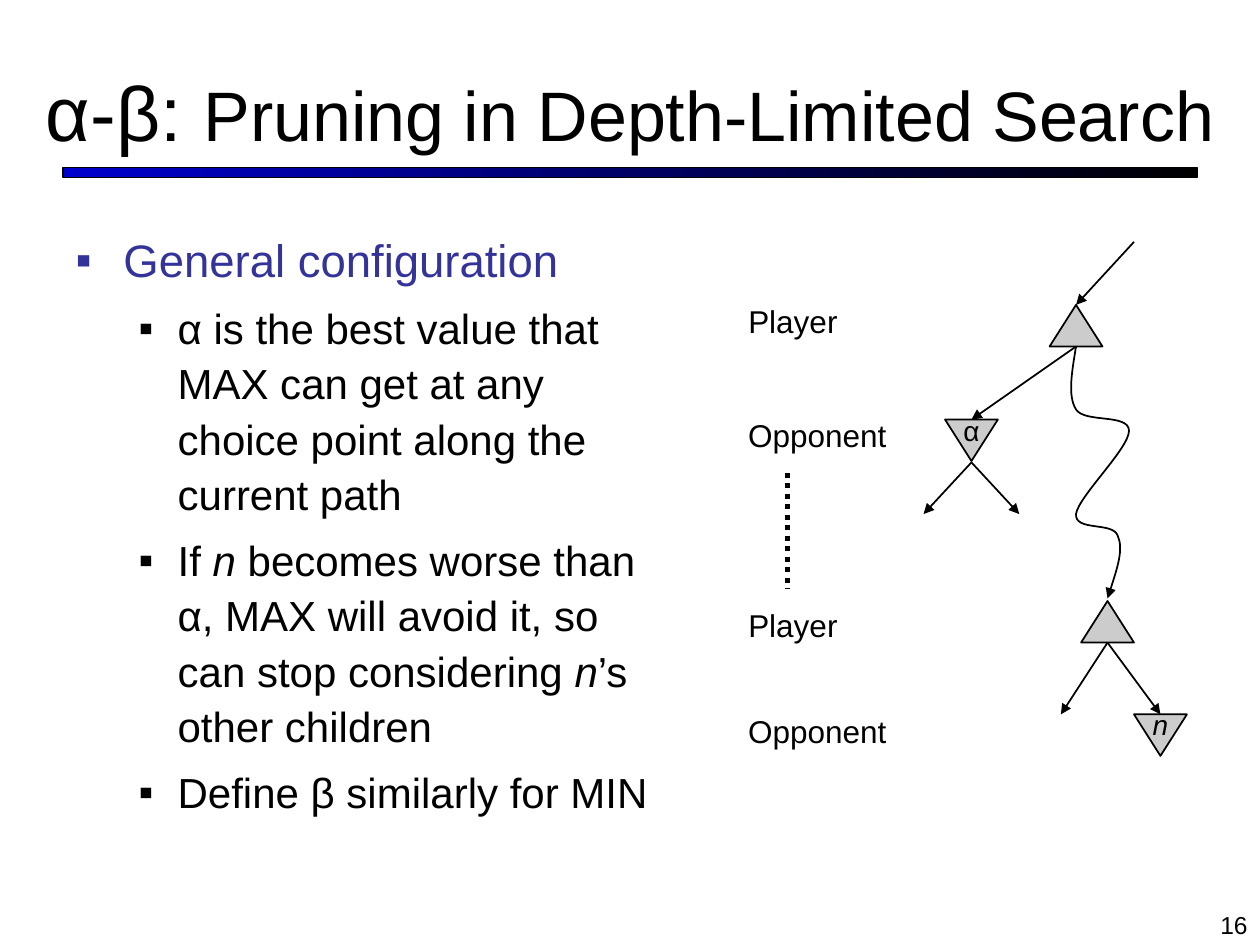
"""Builds a slide on alpha-beta pruning in depth-limited search."""
from dataclasses import dataclass
from typing import NamedTuple

from lxml import etree
from pptx import Presentation
from pptx.dml.color import RGBColor
from pptx.enum import dml, shapes, text
from pptx.oxml import ns
from pptx.util import Inches, Pt


@dataclass(frozen=True)
class Theme:
    """Colours, font and type sizes of the slide."""
    font: str = "Arial"
    ink: str = "000000"
    accent: str = "333399"
    node: str = "CCCCCC"
    rule: str = "0000CC"
    symbol: int = 44
    title: int = 40
    heading: int = 26
    body: int = 24
    label: int = 18
    node_text: int = 16
    number: int = 14


class Run(NamedTuple):
    """A piece of text with one format."""
    text: str
    size: int
    color: str
    italic: bool = False


class Bullet(NamedTuple):
    """A list paragraph with its level and spacing."""
    runs: list
    level: int
    margin: float
    hang: float
    before: float


class Label(NamedTuple):
    """The name of whoever moves at one depth of the tree."""
    text: str
    top: float
    width: float


class Node(NamedTuple):
    """A triangle whose flat or pointed top is centred at x."""
    x: float
    top: float
    is_min: bool = False
    text: str = ""
    italic: bool = False


class Edge(NamedTuple):
    """A straight line between two points."""
    x1: float
    y1: float
    x2: float
    y2: float
    width: float = 1
    dotted: bool = False


T = Theme()
NODE_W, NODE_H = 0.42, 0.33


def body_run(words: str, italic: bool = False) -> Run:
    """Return a run of second-level list text."""
    return Run(words, T.body, T.ink, italic)


BULLETS = [Bullet([Run("General configuration", T.heading, T.accent)], 0, 0.38, 0.38, 6.5)] + [
    Bullet(runs, 1, 0.81, 0.31, 6) for runs in (
        [body_run("α is the best value that MAX can get at any choice point along the current path")],
        [body_run("If "), body_run("n", True),
         body_run(" becomes worse than α, MAX will avoid it, so can stop considering "),
         body_run("n", True), body_run("’s other children")],
        [body_run("Define β similarly for MIN")])]
LABELS = [Label("Player", 2.35, 0.91), Label("Opponent", 3.25, 1.3),
          Label("Player", 4.76, 0.91), Label("Opponent", 5.6, 1.3)]
NODES = [Node(8.54, 2.42), Node(7.71, 3.33, True, "α"),
         Node(8.79, 4.77), Node(9.21, 5.67, True, "n", True)]
EDGES = [Edge(9, 1.92, 8.54, 2.42), Edge(8.54, 2.75, 7.71, 3.33),
         Edge(7.71, 3.67, 7.33, 4.08), Edge(7.71, 3.67, 8.09, 4.08),
         Edge(8.79, 5.1, 8.42, 5.67), Edge(8.79, 5.1, 9.21, 5.67),
         Edge(6.25, 3.75, 6.25, 4.67, 3, True)]
PATH = [(8.54, 2.75), (8.51, 2.94), (8.47, 3.14), (8.54, 3.25), (8.61, 3.36), (8.96, 3.28),
        (8.96, 3.42), (8.96, 3.56), (8.56, 3.94), (8.54, 4.08), (8.53, 4.22), (8.83, 4.14),
        (8.87, 4.25), (8.92, 4.36), (8.85, 4.56), (8.79, 4.75)]


def rgb(color: str) -> RGBColor:
    """Return a colour object for a hex string."""
    return RGBColor.from_string(color)


def add_xml(parent, tag: str, **attrs: str):
    """Append a DrawingML element."""
    return etree.SubElement(parent, ns.qn(tag), attrs)


def write(p, runs: list) -> None:
    """Write formatted runs into a paragraph."""
    for run in runs:
        r = p.add_run()
        r.text = run.text
        r.font.name, r.font.size, r.font.italic = T.font, Pt(run.size), run.italic
        r.font.color.rgb = rgb(run.color)


def place(sp, left: float, top: float, width: float, height: float) -> None:
    """Move and size a shape."""
    sp.left, sp.top, sp.width, sp.height = map(Inches, (left, top, width, height))


def style_line(line, width: float, arrow: bool = False) -> None:
    """Colour a line and give it an arrowhead if wanted."""
    line.color.rgb = rgb(T.ink)
    line.width = Pt(width)
    if arrow:
        add_xml(line._get_or_add_ln(), "a:tailEnd", type="triangle")


def add_title(s) -> None:
    """Fill the title and draw the rule under it."""
    rule = s.shapes.add_shape(shapes.MSO_SHAPE.RECTANGLE, *map(Inches, (0.5, 1.33, 9, 0.08)))
    rule.shadow.inherit = False
    rule.fill.gradient()
    rule.fill.gradient_angle = 180
    for stop, color in zip(rule.fill.gradient_stops, (T.ink, T.rule)):
        stop.color.rgb = rgb(color)
    style_line(rule.line, 0.75)
    title = s.shapes.title
    place(title, 0.25, 0.25, 9.5, 1.25)
    tf = title.text_frame
    tf.auto_size, tf.vertical_anchor = text.MSO_AUTO_SIZE.NONE, text.MSO_ANCHOR.MIDDLE
    p = tf.paragraphs[0]
    p.alignment = text.PP_ALIGN.CENTER
    write(p, [Run("α-β: ", T.symbol, T.ink),
              Run("Pruning in Depth-Limited Search", T.title, T.ink)])


def add_bullets(s) -> None:
    """Fill the body placeholder with the list."""
    body = s.placeholders[1]
    place(body, 0.5, 1.75, 4.94, 4.95)
    tf = body.text_frame
    tf.auto_size = text.MSO_AUTO_SIZE.NONE
    for i, bullet in enumerate(BULLETS):
        p = tf.add_paragraph() if i else tf.paragraphs[0]
        p.level, p.line_spacing, p.space_before = bullet.level, 1.1, Pt(bullet.before)
        pPr = p._p.get_or_add_pPr()
        pPr.set("marL", str(Inches(bullet.margin)))
        pPr.set("indent", str(-Inches(bullet.hang)))
        add_xml(add_xml(pPr, "a:buClr"), "a:srgbClr", val=bullet.runs[0].color)
        add_xml(pPr, "a:buFont", typeface=T.font)
        add_xml(pPr, "a:buChar", char="▪")
        write(p, bullet.runs)


def add_text(s, box: tuple, run: Run, align, anchor, wrap: bool) -> None:
    """Add a one-line text box."""
    tf = s.shapes.add_textbox(*map(Inches, box)).text_frame
    tf.word_wrap, tf.vertical_anchor = wrap, anchor
    tf.paragraphs[0].alignment = align
    write(tf.paragraphs[0], [run])


def add_node(s, node: Node) -> None:
    """Draw a player or opponent triangle."""
    sp = s.shapes.add_shape(shapes.MSO_SHAPE.ISOSCELES_TRIANGLE, *map(
        Inches, (node.x - NODE_W / 2, node.top, NODE_W, NODE_H)))
    sp.shadow.inherit = False
    sp.fill.solid()
    sp.fill.fore_color.rgb = rgb(T.node)
    style_line(sp.line, 1)
    if node.is_min:
        sp._element.spPr.xfrm.set("flipV", "1")
        tf = sp.text_frame
        tf.word_wrap, tf.vertical_anchor = False, text.MSO_ANCHOR.MIDDLE
        tf._txBody.bodyPr.set("rot", "10800000")
        tf.paragraphs[0].alignment = text.PP_ALIGN.CENTER
        write(tf.paragraphs[0], [Run(node.text, T.node_text, T.ink, node.italic)])


def add_edge(s, edge: Edge) -> None:
    """Draw an arrow, or a dotted line for skipped depths."""
    c = s.shapes.add_connector(shapes.MSO_CONNECTOR.STRAIGHT, *map(Inches, edge[:4]))
    style_line(c.line, edge.width, not edge.dotted)
    if edge.dotted:
        c.line.dash_style = dml.MSO_LINE.ROUND_DOT
    add_xml(c._element.spPr, "a:effectLst")


def add_path(s, points: list) -> None:
    """Draw a curved arrow through cubic Bézier points."""
    start, *rest = [(Inches(x), Inches(y)) for x, y in points]
    fb = s.shapes.build_freeform(*start)
    fb.add_line_segments(rest, close=False)
    sp = fb.convert_to_shape()
    segments = list(sp._element.iter(ns.qn("a:lnTo")))
    outline = segments[0].getparent()
    for i in range(0, len(segments), 3):
        curve = add_xml(outline, "a:cubicBezTo")
        for segment in segments[i:i + 3]:
            curve.append(segment[0])
            outline.remove(segment)
    sp.shadow.inherit = False
    sp.fill.background()
    style_line(sp.line, 1, True)


def main() -> None:
    """Build and save the slide."""
    prs = Presentation()
    prs.slide_width, prs.slide_height = Inches(10), Inches(7.5)
    s = prs.slides.add_slide(prs.slide_layouts[1])
    add_title(s)
    add_bullets(s)
    for label in LABELS:
        add_text(s, (5.84, label.top, label.width, 0.4), Run(label.text, T.label, T.ink),
                 text.PP_ALIGN.LEFT, text.MSO_ANCHOR.MIDDLE, False)
    for node in NODES:
        add_node(s, node)
    for edge in EDGES:
        add_edge(s, edge)
    add_path(s, PATH)
    add_text(s, (7.67, 7.17, 2.33, 0.33), Run("16", T.number, T.ink),
             text.PP_ALIGN.RIGHT, text.MSO_ANCHOR.TOP, True)
    prs.save("out.pptx")


if __name__ == "__main__":
    main()
